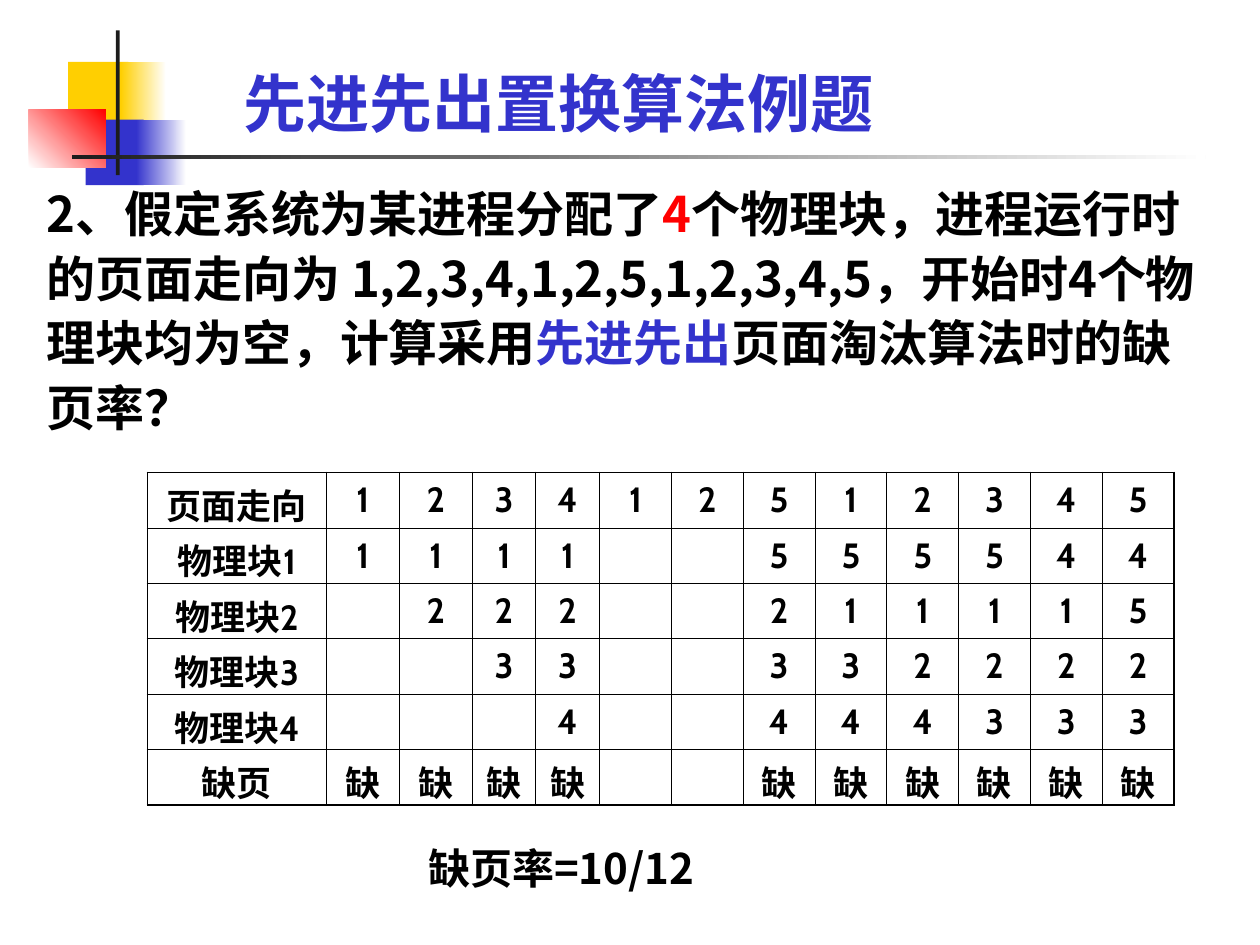
from lxml import etree
from pptx import Presentation
from pptx.dml.color import RGBColor
from pptx.enum.shapes import MSO_SHAPE
from pptx.enum.text import MSO_ANCHOR, MSO_AUTO_SIZE, PP_ALIGN
from pptx.oxml.ns import qn
from pptx.util import Inches, Pt

RECTANGLE = MSO_SHAPE.RECTANGLE
BOTTOM = MSO_ANCHOR.BOTTOM
LEFT, CENTER = PP_ALIGN.LEFT, PP_ALIGN.CENTER
NO_FIT, GROW = MSO_AUTO_SIZE.NONE, MSO_AUTO_SIZE.SHAPE_TO_FIT_TEXT

BLACK = RGBColor(0x00, 0x00, 0x00)
WHITE = RGBColor(0xFF, 0xFF, 0xFF)
RED = RGBColor(0xFF, 0x00, 0x00)
BLUE = RGBColor(0x33, 0x33, 0xCC)
YELLOW = RGBColor(0xFF, 0xCF, 0x01)
CHARCOAL = RGBColor(0x1C, 0x1C, 0x1C)

LATIN_FONT = "Cabin"
CJK_FONT = "Noto Sans CJK SC"
THIN, THICK = Pt(0.45), Pt(1.08)

# left, top, width, height, colour, end colour of the fade, angle
ORNAMENTS = [
    (0.54, 0.49, 0.48, 0.52, YELLOW, None, 0),
    (0.96, 0.49, 0.36, 0.52, YELLOW, WHITE, 0),
    (0.68, 0.95, 0.46, 0.52, BLUE, None, 0),
    (1.08, 0.95, 0.40, 0.52, BLUE, WHITE, 0),
    (0.23, 0.87, 0.61, 0.46, WHITE, RED, 45),
    (0.92, 0.24, 0.03, 1.15, CHARCOAL, None, 0),
    (0.57, 1.23, 9.00, 0.03, CHARCOAL, WHITE, 0),
]

QUESTION = [
    ("2、假定系统为某进程分配了", BLACK),
    ("4", RED),
    ("个物理块，进程运行时的页面走向为 1,2,3,4,1,2,5,1,2,3,4,5，"
     "开始时4个物理块均为空，计算采用", BLACK),
    ("先进先出", BLUE),
    ("页面淘汰算法时的缺页率？", BLACK),
]

# One character per page reference; a dot is an empty cell
PAGE_ROWS = [
    ("页面走向", "123412512345"),
    ("物理块1", "1111..555544"),
    ("物理块2", ".222..211115"),
    ("物理块3", "..33..332222"),
    ("物理块4", "...4..444333"),
    ("缺页", "缺缺缺缺..缺缺缺缺缺缺"),
]
COLUMN_WIDTHS = [1.42, 0.58, 0.58, 0.5, 0.51] + [0.57] * 8
ROW_HEIGHT = 0.44


def style_run(run, size, color, font_name):
    run.font.size = Pt(size)
    run.font.bold = True
    run.font.color.rgb = color
    run.font.name = font_name
    east_asian = etree.SubElement(run.font._element, qn("a:ea"))
    east_asian.set("typeface", CJK_FONT)


def add_ornament(slide, left, top, width, height, color, fade_to, angle):
    block = slide.shapes.add_shape(
        RECTANGLE, Inches(left), Inches(top), Inches(width), Inches(height))
    block.shadow.inherit = False
    block.line.fill.background()
    if fade_to is None:
        block.fill.solid()
        block.fill.fore_color.rgb = color
        return
    block.fill.gradient()
    block.fill.gradient_angle = angle
    for stop, stop_color in zip(block.fill.gradient_stops, (color, fade_to)):
        stop.color.rgb = stop_color


def set_title(slide, text):
    title = slide.shapes.title
    title.left, title.top = Inches(1.83), Inches(0.48)
    title.width, title.height = Inches(6.63), Inches(0.68)
    frame = title.text_frame
    frame.text = text
    frame.auto_size = NO_FIT
    frame.vertical_anchor = BOTTOM
    frame.paragraphs[0].alignment = LEFT
    style_run(frame.paragraphs[0].runs[0], 36, BLUE, LATIN_FONT)


def add_text(slide, left, top, width, height, parts, size, wrap, spacing):
    box = slide.shapes.add_textbox(
        Inches(left), Inches(top), Inches(width), Inches(height))
    frame = box.text_frame
    frame.word_wrap = wrap
    frame.auto_size = GROW
    paragraph = frame.paragraphs[0]
    paragraph.line_spacing = spacing
    for text, color in parts:
        run = paragraph.add_run()
        run.text = text
        style_run(run, size, color, CJK_FONT)


def set_borders(cell, widths):
    properties = cell._tc.get_or_add_tcPr()
    for side, width in zip("LRTB", widths):
        line = etree.SubElement(properties, qn(f"a:ln{side}"), w=str(width))
        fill = etree.SubElement(line, qn("a:solidFill"))
        etree.SubElement(fill, qn("a:srgbClr"), val=str(BLACK))


def fill_cell(cell, text):
    cell.fill.background()
    paragraph = cell.text_frame.paragraphs[0]
    paragraph.alignment = CENTER
    if text == ".":
        paragraph.font.size = Pt(20)
        return
    paragraph.text = text
    style_run(paragraph.runs[0], 20, BLACK, LATIN_FONT)


def add_page_table(slide):
    row_count, column_count = len(PAGE_ROWS), len(COLUMN_WIDTHS)
    table = slide.shapes.add_table(
        row_count, column_count, Inches(1.17), Inches(3.75),
        Inches(sum(COLUMN_WIDTHS)), Inches(ROW_HEIGHT * row_count)).table
    table.first_row = table.horz_banding = False
    for column, width in zip(table.columns, COLUMN_WIDTHS):
        column.width = Inches(width)
    for r, (label, pages) in enumerate(PAGE_ROWS):
        table.rows[r].height = Inches(ROW_HEIGHT)
        for c, text in enumerate([label, *pages]):
            cell = table.cell(r, c)
            # The outer frame is thicker than the inner grid
            on_frame = (c == 0, c == column_count - 1,
                        r == 0, r == row_count - 1)
            set_borders(cell, [THICK if outer else THIN for outer in on_frame])
            fill_cell(cell, text)


def main():
    prs = Presentation()
    prs.slide_width, prs.slide_height = Inches(10), Inches(7.5)
    slide = prs.slides.add_slide(prs.slide_layouts[5])

    # Corner ornament and title
    for ornament in ORNAMENTS:
        add_ornament(slide, *ornament)
    set_title(slide, "先进先出置换算法例题")

    # Question, page table and result
    add_text(slide, 0.27, 1.36, 9.45, 2.16, QUESTION, 28, True, 1.1)
    add_page_table(slide)
    add_text(slide, 3.3, 6.64, 2.48, 0.5, [("缺页率=10/12", BLACK)],
             24, False, 1.0)

    prs.save("out.pptx")


if __name__ == "__main__":
    main()
